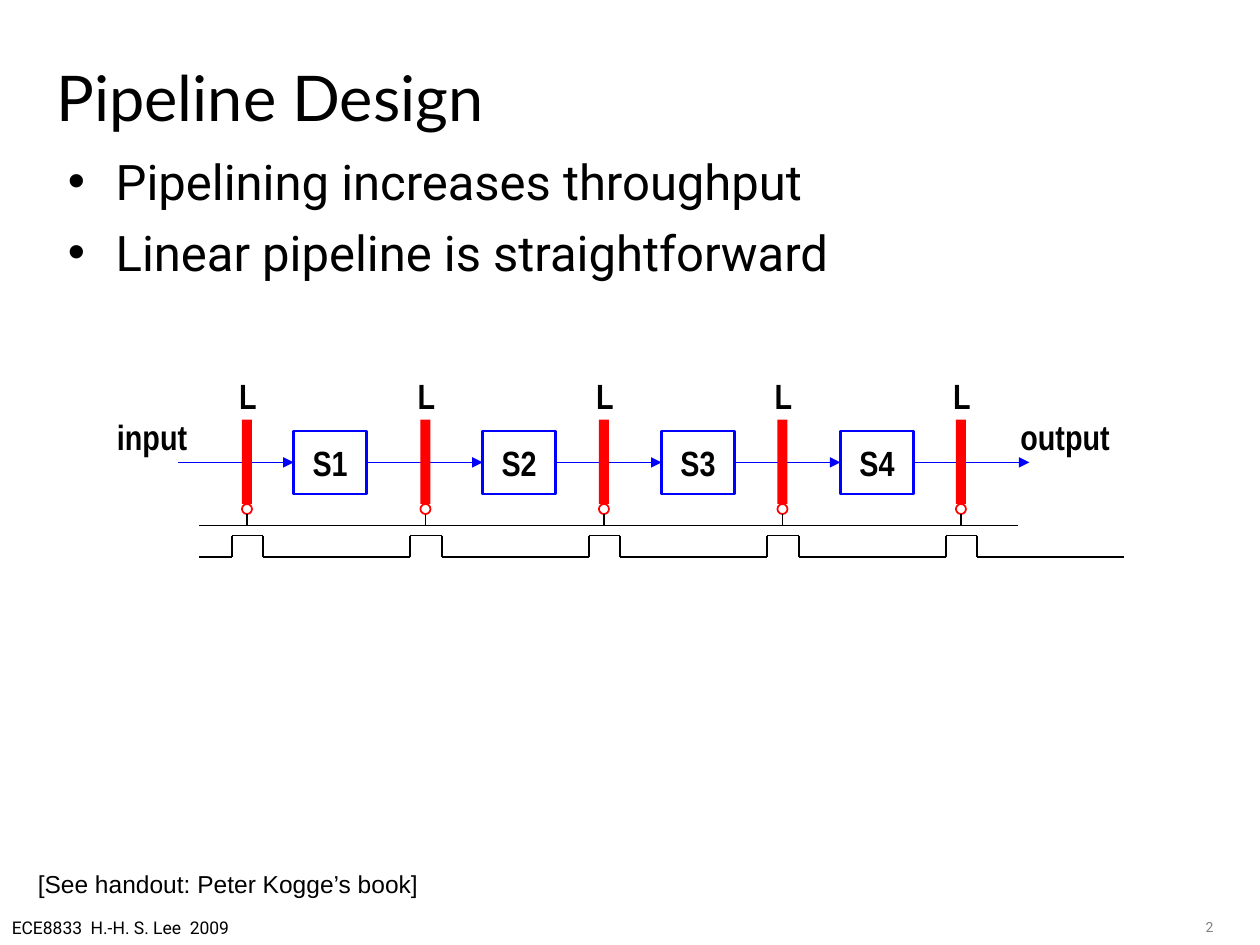
from dataclasses import dataclass
from itertools import pairwise
from lxml.etree import SubElement
from pptx import Presentation
from pptx.dml.color import RGBColor
from pptx.enum.shapes import MSO_CONNECTOR, MSO_SHAPE
from pptx.enum.text import MSO_ANCHOR, PP_ALIGN
from pptx.oxml.ns import qn
from pptx.util import Inches, Pt


@dataclass(frozen=True)
class Theme:
    """Colours, fonts and type sizes of the deck."""
    ink: str = "000000"
    wire: str = "0000FF"
    latch: str = "FF0000"
    muted: str = "808080"
    paper: str = "FFFFFF"
    head_font: str = "Lato"
    body_font: str = "Roboto"
    label_font: str = "Arial Narrow"
    note_font: str = "Arial"
    title: int = 36
    body: int = 28
    label: int = 20
    note: int = 14
    footer: int = 10
    number: int = 8


class Deck:
    """Holds the theme and the current slide, and draws its elements."""

    def __init__(self, prs, theme):
        self.theme = theme
        self.s = prs.slides.add_slide(prs.slide_layouts[5])
        fill = self.s.background.fill
        fill.solid()
        fill.fore_color.rgb = RGBColor.from_string(theme.paper)

    def fill_text(self, tf, lines, size, font, color=None, bold=False,
                  align=PP_ALIGN.LEFT, anchor=MSO_ANCHOR.TOP, wrap=False):
        """Fill a text frame with one paragraph per line."""
        frame = {"word_wrap": wrap, "vertical_anchor": anchor,
                 "margin_left": Inches(0.1), "margin_right": Inches(0.1),
                 "margin_top": Inches(0.05), "margin_bottom": Inches(0.05)}
        for name, value in frame.items():
            setattr(tf, name, value)
        for i, line in enumerate(lines):
            p = tf.add_paragraph() if i else tf.paragraphs[0]
            p.alignment = align
            r = p.add_run()
            r.text = line
            for name, value in {"size": Pt(size), "name": font, "bold": bold}.items():
                setattr(r.font, name, value)
            r.font.color.rgb = RGBColor.from_string(color or self.theme.ink)

    def title(self, text, x, y, w, h):
        """Place and format the title placeholder."""
        sp = self.s.shapes.title
        box = {"left": x, "top": y, "width": w, "height": h}
        for name, value in box.items():
            setattr(sp, name, Inches(value))
        self.fill_text(sp.text_frame, [text], self.theme.title, self.theme.head_font,
                       anchor=MSO_ANCHOR.MIDDLE, wrap=True)

    def text(self, lines, x, y, w, h, size, font, **style):
        """Add a text box and return its frame."""
        sp = self.s.shapes.add_textbox(Inches(x), Inches(y), Inches(w), Inches(h))
        self.fill_text(sp.text_frame, lines, size, font, **style)
        return sp.text_frame

    def bullets(self, lines, x, y, w, h):
        """Add a bulleted list with hanging indents."""
        tf = self.text(lines, x, y, w, h, self.theme.body, self.theme.body_font, wrap=True)
        for i, p in enumerate(tf.paragraphs):
            p.space_before = Pt(7 if i else 0)
            pPr = p._p.get_or_add_pPr()
            pPr.set("marL", str(Inches(0.38)))
            pPr.set("indent", str(Inches(-0.38)))
            SubElement(pPr, qn("a:buFont")).set("typeface", self.theme.note_font)
            SubElement(pPr, qn("a:buChar")).set("char", "•")

    def label(self, text, x, y, w):
        """Add a bold diagram label."""
        self.text([text], x, y, w, 0.44, self.theme.label, self.theme.label_font, bold=True)

    def shape(self, kind, x, y, w, h, fill=None, line=None, weight=1):
        """Add a preset shape with an optional fill and outline."""
        sp = self.s.shapes.add_shape(kind, Inches(x), Inches(y), Inches(w), Inches(h))
        sp.shadow.inherit = False
        for part, color in ((sp.fill, fill), (sp.line.fill, line)):
            if color:
                part.solid()
                part.fore_color.rgb = RGBColor.from_string(color)
            else:
                part.background()
        if line:
            sp.line.width = Pt(weight)
        return sp

    def stage(self, name, x, y, w, h):
        """Add an outlined pipeline stage with its name."""
        sp = self.shape(MSO_SHAPE.RECTANGLE, x, y, w, h, line=self.theme.wire, weight=1.5)
        self.fill_text(sp.text_frame, [name], self.theme.label, self.theme.label_font,
                       bold=True, align=PP_ALIGN.CENTER, anchor=MSO_ANCHOR.MIDDLE)

    def line(self, start, end, color=None, arrow=False):
        """Add a straight line, with an arrowhead at its end if asked."""
        sp = self.s.shapes.add_connector(
            MSO_CONNECTOR.STRAIGHT, *(Inches(v) for v in (*start, *end)))
        sp.line.width = Pt(1)
        sp.line.color.rgb = RGBColor.from_string(color or self.theme.ink)
        if arrow:
            SubElement(sp.line._get_or_add_ln(), qn("a:tailEnd")).set("type", "triangle")
        SubElement(sp._element.spPr, qn("a:effectLst"))


def draw_pipeline(deck):
    """Draw stages, latches, clock line and clock waveform."""
    theme = deck.theme
    stages = [2.33, 3.83, 5.25, 6.67]
    latches = [1.92 + i * 17 / 12 for i in range(5)]
    stage_w, flow_y, clock_y, low, high = 0.58, 3.67, 4.17, 4.42, 4.25

    for i, x in enumerate(stages, 1):
        deck.stage(f"S{i}", x, 3.42, stage_w, 0.5)
    starts = [1.41] + [x + stage_w for x in stages]
    for start, end in zip(starts, stages + [8.17]):
        deck.line((start, flow_y), (end, flow_y), theme.wire, arrow=True)
    deck.label("input", 0.83, 3.25, 0.76)
    deck.label("output", 8, 3.25, 0.91)

    deck.line((1.58, clock_y), (8.08, clock_y))
    wave = [(1.58, low)]
    for x in latches:
        deck.shape(MSO_SHAPE.RECTANGLE, x, 3.33, 0.08, 0.67, fill=theme.latch)
        deck.shape(MSO_SHAPE.OVAL, x, 4, 0.08, 0.08, line=theme.latch)
        deck.line((x + 0.04, 4.08), (x + 0.04, clock_y))
        deck.label("L", x - 0.12, 2.92, 0.34)
        rise, fall = x - 0.08, x + 0.17
        wave += [(rise, low), (rise, high), (fall, high), (fall, low)]
    for start, end in pairwise(wave + [(8.92, low)]):
        deck.line(start, end)


def main():
    """Build the slide and save it."""
    prs = Presentation()
    prs.slide_width, prs.slide_height = Inches(10), Inches(7.5)
    theme = Theme()
    deck = Deck(prs, theme)
    deck.title("Pipeline Design", 0.35, 0.35, 9, 0.83)
    deck.bullets(["Pipelining increases throughput", "Linear pipeline is straightforward"],
                 0.44, 1.15, 9.13, 1.91)
    draw_pipeline(deck)
    deck.text(["[See handout: Peter Kogge’s book]"], 0.2, 6.85, 3.22, 0.34,
              theme.note, theme.note_font, align=PP_ALIGN.CENTER)
    deck.text(["ECE8833  H.-H. S. Lee  2009"], -0.02, 7.23, 1.95, 0.27,
              theme.footer, theme.body_font, align=PP_ALIGN.CENTER)
    deck.text(["2"], 9.07, 7.24, 0.66, 0.17, theme.number, theme.body_font,
              color=theme.muted, align=PP_ALIGN.RIGHT, wrap=True)
    prs.save("out.pptx")


if __name__ == "__main__":
    main()
